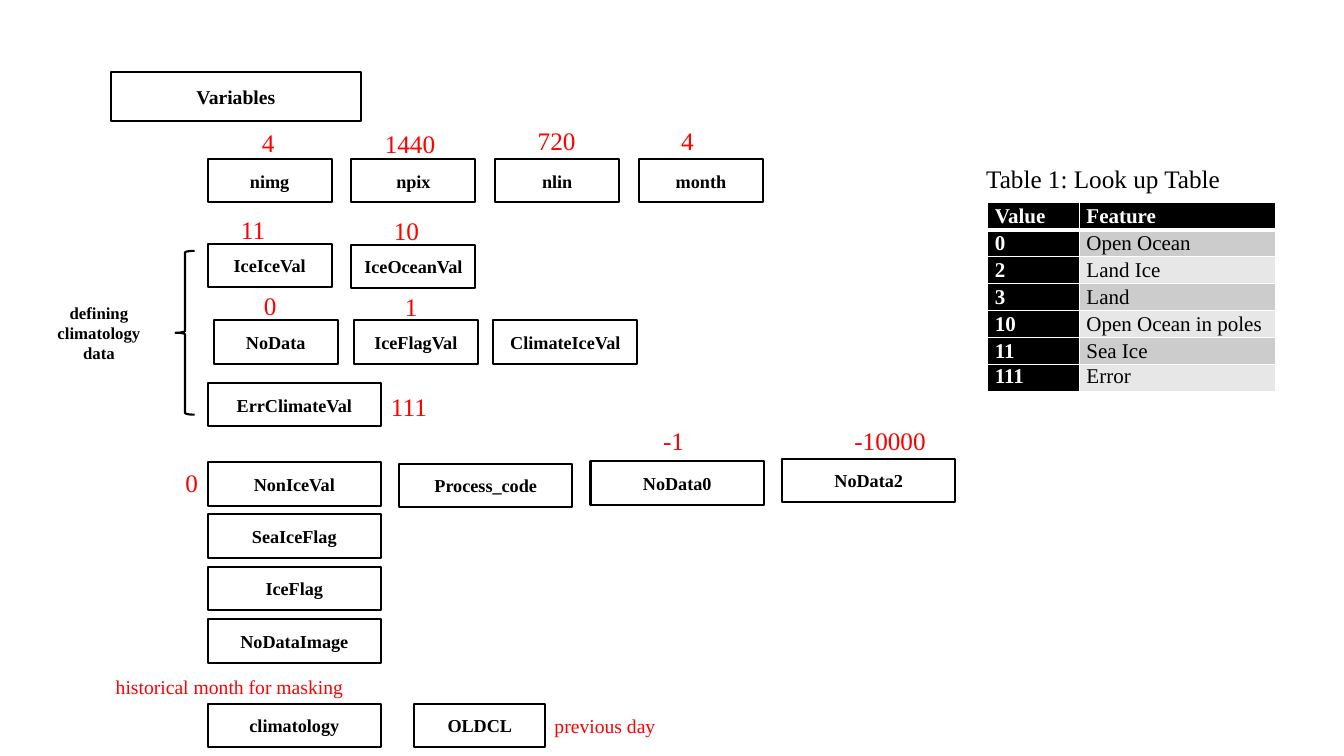
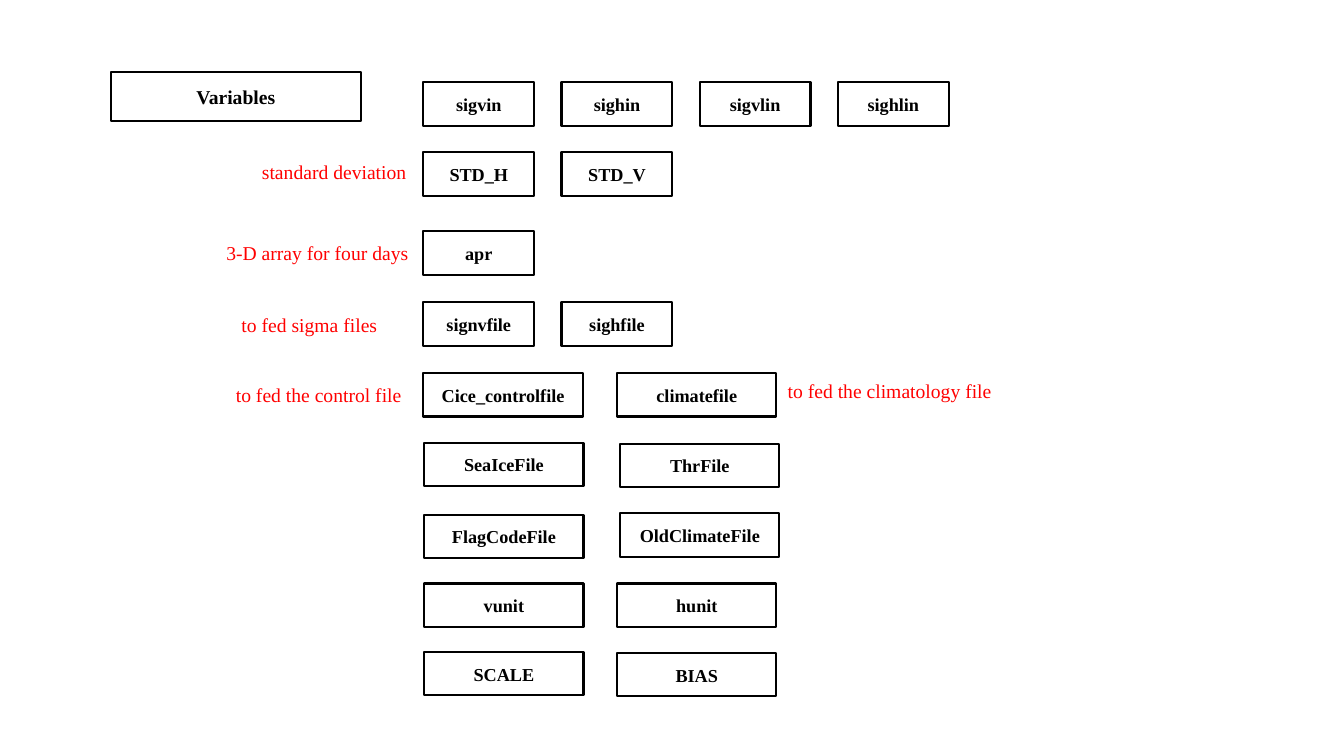
from dataclasses import dataclass

from lxml import etree
from pptx import Presentation
from pptx.dml.color import RGBColor
from pptx.enum.shapes import MSO_SHAPE
from pptx.enum.text import MSO_ANCHOR, MSO_AUTO_SIZE, PP_ALIGN
from pptx.oxml.ns import qn
from pptx.shapes.autoshape import Shape
from pptx.slide import Slide
from pptx.table import _Cell
from pptx.text.text import TextFrame
from pptx.util import Pt

RECTANGLE, LEFT_BRACE = MSO_SHAPE.RECTANGLE, MSO_SHAPE.LEFT_BRACE
LEFT, CENTER, JUSTIFY = PP_ALIGN.LEFT, PP_ALIGN.CENTER, PP_ALIGN.JUSTIFY
TOP, MIDDLE = MSO_ANCHOR.TOP, MSO_ANCHOR.MIDDLE
GROW = MSO_AUTO_SIZE.SHAPE_TO_FIT_TEXT


# Shared look
@dataclass(frozen=True)
class Theme:
    font: str = "Times New Roman"
    ink: str = "000000"
    paper: str = "FFFFFF"
    accent: str = "FF0000"
    bands: tuple[str, str] = ("CCCCCC", "E7E7E7")
    title_size: float = 14
    box_size: float = 13
    group_size: float = 12
    value_size: float = 18
    remark_size: float = 14
    table_size: float = 15
    outline: float = 1.5
    box_height: float = 31


THEME = Theme()


@dataclass(frozen=True)
class BoxRow:
    """Variable boxes at an equal pitch, stepping across or down."""
    names: tuple[str, ...]
    left: float
    top: float
    width: float
    across: float = 0
    down: float = 0


@dataclass(frozen=True)
class Note:
    """Red value or remark beside a box."""
    text: str
    left: float
    top: float
    width: float = 79.2
    size: float = THEME.value_size


# Slide 1 content
SMALL, WIDE = 88.6, 123.8
DATA_ROWS = (
    BoxRow(("nimg", "npix", "nlin", "month"), 148.3, 113.6, SMALL, across=102.7),
    BoxRow(("IceIceVal", "IceOceanVal"), 148.3, 174.3, SMALL, across=102.7, down=0.6),
    BoxRow(("NoData", "IceFlagVal"), 152.6, 228.8, SMALL, across=100.1),
    BoxRow(("ClimateIceVal",), 352.5, 228.8, 102.6),
    BoxRow(("ErrClimateVal",), 148.3, 273.6, WIDE),
    BoxRow(("NonIceVal",), 148.3, 330.3, WIDE),
    BoxRow(("Process_code", "NoData0", "NoData2"), 285, 331.4, WIDE,
           across=136.8, down=-1.8),
    BoxRow(("SeaIceFlag", "IceFlag", "NoDataImage"), 148.3, 367.3, WIDE, down=37.6),
    BoxRow(("climatology",), 148.3, 502.8, WIDE),
    BoxRow(("OLDCL",), 295.8, 502.6, 93.8),
)
DATA_NOTES = (
    Note("4", 180, 87.2), Note("1440", 267.8, 87.8),
    Note("720", 377, 85.7), Note("4", 479.5, 85.7),
    Note("11", 165, 149.6), Note("10", 274.3, 150),
    Note("0", 181.4, 203.8), Note("1", 282.2, 204.2),
    Note("111", 272.2, 276.3), Note("0", 125.3, 330),
    Note("-1", 466.6, 300.4), Note("-10000", 603.2, 300.4),
    Note("historical month for masking", 75.6, 478.2, 192.2, THEME.remark_size),
    Note("previous day", 389, 506.4, 90.7, THEME.remark_size),
)
LOOKUP = (
    ("Value", "Feature"),
    ("0", "Open Ocean"),
    ("2", "Land Ice"),
    ("3", "Land"),
    ("10", "Open Ocean in poles"),
    ("11", "Sea Ice"),
    ("111", "Error"),
)

# Slide 2 content
SHORT, LONG = 79.2, 113.8
FILE_ROWS = (
    BoxRow(("sigvin", "sighin", "sigvlin", "sighlin"), 302.4, 58.8, SHORT, across=98.7),
    BoxRow(("STD_H", "STD_V"), 302.4, 108.8, SHORT, across=98.7),
    BoxRow(("apr",), 302.4, 165.2, SHORT),
    BoxRow(("signvfile", "sighfile"), 302.4, 216, SHORT, across=98.7),
    BoxRow(("Cice_controlfile", "climatefile"), 302.4, 266.5, LONG, across=138.4),
    BoxRow(("SeaIceFile", "ThrFile"), 303, 316.3, LONG, across=139.9, down=0.6),
    BoxRow(("FlagCodeFile", "OldClimateFile"), 303, 367.7, LONG, across=139.9, down=-1),
    BoxRow(("vunit", "hunit"), 303, 416.8, LONG, across=137.8),
    BoxRow(("SCALE", "BIAS"), 303, 465.8, LONG, across=137.8, down=0.7),
)
FILE_NOTES = tuple(
    Note(text, left, top, width, THEME.remark_size)
    for text, left, top, width in (
        ("standard deviation", 180, 111, 154.8),
        ("3-D array for four days", 154.6, 168.7, 192.2),
        ("to fed sigma files", 165.4, 219.6, 154.8),
        ("to fed the control file", 161.4, 270.2, 192.2),
        ("to fed the climatology file", 555.6, 267.3, 192.2),
    )
)


def color(value: str) -> RGBColor:
    return RGBColor.from_string(value)


def write_text(frame: TextFrame, text: str, *, size: float, ink: str = THEME.ink,
               bold: bool = False, align: PP_ALIGN = LEFT, anchor: MSO_ANCHOR = TOP,
               wrap: bool = True, spacing: float | None = None,
               after: float = 0) -> None:
    frame.word_wrap = wrap
    frame.vertical_anchor = anchor
    paragraph = frame.paragraphs[0]
    paragraph.alignment = align
    paragraph.space_after = Pt(after)
    if spacing:
        paragraph.line_spacing = spacing
    run = paragraph.add_run()
    run.text = text
    run.font.name = THEME.font
    run.font.size = Pt(size)
    run.font.bold = bold
    run.font.color.rgb = color(ink)


def add_outline(slide: Slide, kind: MSO_SHAPE, left: float, top: float, width: float,
                height: float, outlined: bool = True) -> Shape:
    shape = slide.shapes.add_shape(kind, Pt(left), Pt(top), Pt(width), Pt(height))
    shape.shadow.inherit = False
    shape.fill.solid()
    shape.fill.fore_color.rgb = color(THEME.paper)
    if outlined:
        shape.line.color.rgb = color(THEME.ink)
        shape.line.width = Pt(THEME.outline)
    else:
        shape.line.fill.background()
    return shape


def add_box(slide: Slide, text: str, left: float, top: float, width: float,
            height: float = THEME.box_height, size: float = THEME.box_size,
            outlined: bool = True) -> None:
    shape = add_outline(slide, RECTANGLE, left, top, width, height, outlined)
    write_text(shape.text_frame, text, size=size, bold=True, align=CENTER, anchor=MIDDLE)


def add_row(slide: Slide, row: BoxRow) -> None:
    for index, name in enumerate(row.names):
        add_box(slide, name, row.left + index * row.across,
                row.top + index * row.down, row.width)


def add_label(slide: Slide, note: Note, **text_format) -> None:
    height = note.size * 1.2 + 7.2
    shape = slide.shapes.add_textbox(Pt(note.left), Pt(note.top), Pt(note.width), Pt(height))
    shape.text_frame.auto_size = GROW
    write_text(shape.text_frame, note.text, size=note.size, **text_format)


def set_borders(cell: _Cell, top: float, bottom: float) -> None:
    properties = cell._tc.get_or_add_tcPr()
    for tag, width in (("a:lnL", 1), ("a:lnR", 1), ("a:lnT", top), ("a:lnB", bottom)):
        line = etree.SubElement(properties, qn(tag), w=str(Pt(width)))
        fill = etree.SubElement(line, qn("a:solidFill"))
        etree.SubElement(fill, qn("a:srgbClr"), val=THEME.paper)


def add_lookup_table(slide: Slide) -> None:
    row_height, widths = 19, (65.5, 140.4)
    frame = slide.shapes.add_table(len(LOOKUP), len(widths), Pt(705.6), Pt(144.9),
                                   Pt(sum(widths)), Pt(row_height * len(LOOKUP)))
    table = frame.table
    table.horz_banding = False
    for column, width in zip(table.columns, widths):
        column.width = Pt(width)
    for row_index, values in enumerate(LOOKUP):
        table.rows[row_index].height = Pt(row_height)
        last = row_index == len(LOOKUP) - 1
        for column_index, value in enumerate(values):
            cell = table.cell(row_index, column_index)
            heading = row_index == 0 or column_index == 0
            cell.margin_left = cell.margin_right = Pt(5)
            cell.margin_top = cell.margin_bottom = Pt(0)
            set_borders(cell, top=3 if row_index == 1 else 1,
                        bottom=3 if row_index == 0 else 1)
            cell.fill.solid()
            cell.fill.fore_color.rgb = color(
                THEME.ink if heading else THEME.bands[(row_index - 1) % 2])
            write_text(cell.text_frame, value, size=THEME.table_size, bold=heading,
                       ink=THEME.paper if heading else THEME.ink,
                       align=LEFT if last else JUSTIFY, spacing=None if last else 1.07)


def add_variables_slide(presentation: Presentation, rows: tuple[BoxRow, ...],
                        notes: tuple[Note, ...]) -> Slide:
    slide = presentation.slides.add_slide(presentation.slide_layouts[6])
    add_box(slide, "Variables", 79, 51.6, 179, 35, THEME.title_size)
    for row in rows:
        add_row(slide, row)
    for note in notes:
        add_label(slide, note, ink=THEME.accent)
    return slide


def main() -> None:
    presentation = Presentation()
    presentation.slide_width, presentation.slide_height = Pt(960), Pt(540)

    # Constants, climatology group and look-up table
    slide = add_variables_slide(presentation, DATA_ROWS, DATA_NOTES)
    add_outline(slide, LEFT_BRACE, 125.4, 179.2, 13.6, 117)
    add_box(slide, "defining climatology data", 26, 214, 89.4, 47.5,
            THEME.group_size, outlined=False)
    add_lookup_table(slide)
    add_label(slide, Note("Table 1: Look up Table", 696.2, 111.6, 183.6),
              align=CENTER, wrap=False, spacing=1.07, after=8)

    # Arrays and files
    add_variables_slide(presentation, FILE_ROWS, FILE_NOTES)
    presentation.save("out.pptx")


if __name__ == "__main__":
    main()
